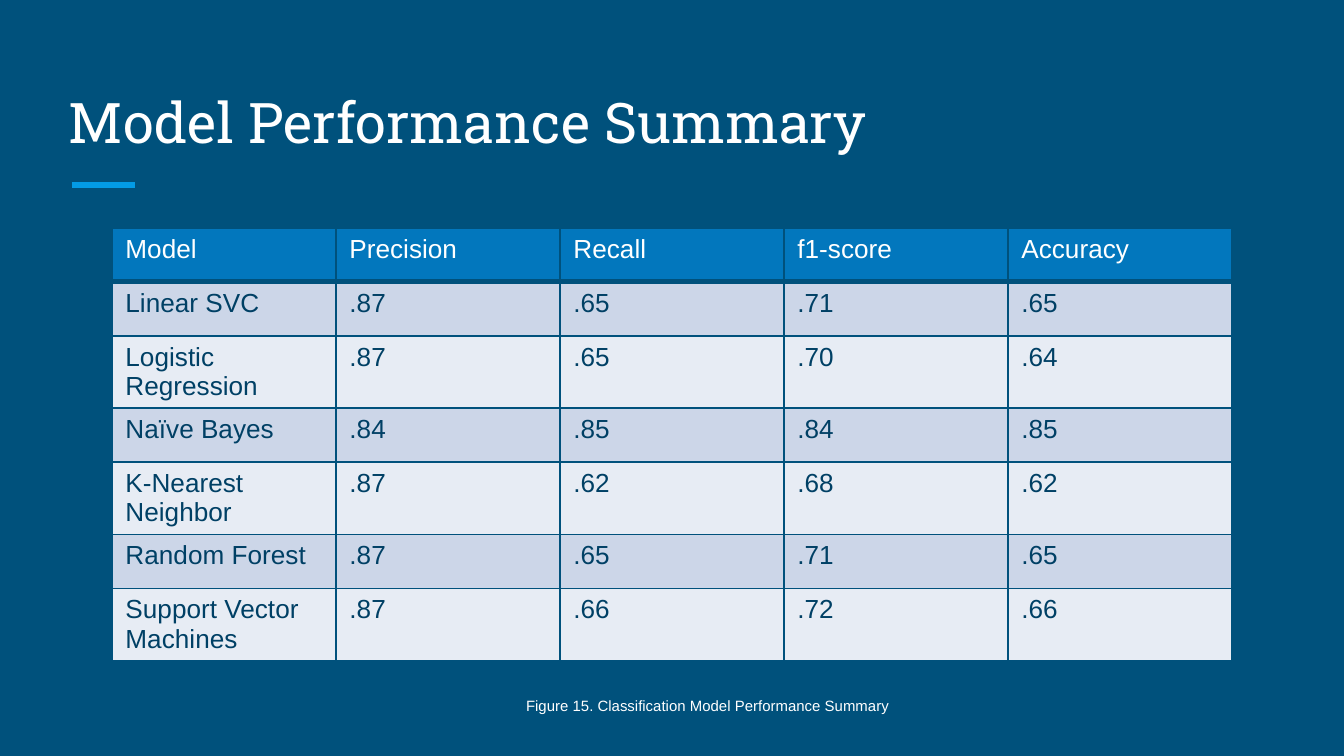
from dataclasses import dataclass

from lxml.etree import SubElement
from pptx import Presentation
from pptx.dml.color import RGBColor as RGB
from pptx.enum.shapes import MSO_CONNECTOR as CONNECTOR
from pptx.enum.text import MSO_ANCHOR as ANCHOR, MSO_AUTO_SIZE as AUTOSIZE, PP_ALIGN as ALIGN
from pptx.oxml.ns import qn
from pptx.util import Emu, Pt


@dataclass(frozen=True)
class Theme:
    background: str = "00517C"
    accent: str = "039BE5"
    header: str = "0277BD"
    bands: tuple = ("CCD6E8", "E7ECF4")
    light: str = "FFFFFF"
    dark: str = "004065"
    heading_font: str = "Roboto Slab"
    body_font: str = "Arial"
    title_size: int = 30
    table_size: int = 14
    caption_size: int = 8


theme = Theme()
EMU_PER_PX = 914400 / 134.4


def px(*values):
    return [Emu(round(v * EMU_PER_PX)) for v in values]


def write(tf, text, *, size, color=theme.light, font=theme.body_font, anchor=ANCHOR.TOP, margin=None):
    tf.word_wrap = True
    tf.vertical_anchor = anchor
    if margin is not None:
        tf.margin_left = tf.margin_right = tf.margin_top = tf.margin_bottom = margin
    p = tf.paragraphs[0]
    p.alignment = ALIGN.LEFT
    r = p.add_run()
    r.text = text
    r.font.size = Pt(size)
    r.font.name = font
    r.font.color.rgb = RGB.from_string(color)


# Slide and background
prs = Presentation()
prs.slide_width, prs.slide_height = px(1344, 756)
s = prs.slides.add_slide(prs.slide_layouts[5])
s.background.fill.solid()
s.background.fill.fore_color.rgb = RGB.from_string(theme.background)
inset, = px(13)

# Accent rule under the title
rule = s.shapes.add_connector(CONNECTOR.STRAIGHT, *px(72, 185, 135, 185))
rule.line.color.rgb = RGB.from_string(theme.accent)
rule.line.width = Pt(3)
SubElement(rule._element.spPr, qn("a:effectLst"))

# Title
title = s.shapes.title
title.left, title.top, title.width, title.height = px(56, 67, 1230, 101)
title.text_frame.auto_size = AUTOSIZE.NONE
write(title.text_frame, "Model Performance Summary", size=theme.title_size,
      font=theme.heading_font, anchor=ANCHOR.BOTTOM, margin=inset)

# Table of scores
rows = [
    ("Model", "Precision", "Recall", "f1-score", "Accuracy"),
    ("Linear SVC", ".87", ".65", ".71", ".65"),
    ("Logistic Regression", ".87", ".65", ".70", ".64"),
    ("Naïve Bayes", ".84", ".85", ".84", ".85"),
    ("K-Nearest Neighbor", ".87", ".62", ".68", ".62"),
    ("Random Forest", ".87", ".65", ".71", ".65"),
    ("Support Vector Machines", ".87", ".66", ".72", ".66"),
]
col_w, row_h = 224, 54
n_rows, n_cols = len(rows), len(rows[0])
table = s.shapes.add_table(n_rows, n_cols, *px(112, 228, n_cols * col_w, n_rows * row_h)).table

for i, row in enumerate(rows):
    is_header = i == 0
    fill = theme.header if is_header else theme.bands[(i - 1) % 2]
    for j, text in enumerate(row):
        cell = table.cell(i, j)
        write(cell.text_frame, text, size=theme.table_size,
              color=theme.light if is_header else theme.dark)
        # Borders come before the fill in the cell's XML
        tc_pr = cell._tc.get_or_add_tcPr()
        for side in ("lnL", "lnR", "lnT", "lnB"):
            width = Pt(3 if is_header and side == "lnB" else 1)
            ln = SubElement(tc_pr, qn(f"a:{side}"), w=str(width))
            SubElement(SubElement(ln, qn("a:solidFill")), qn("a:srgbClr"), val=theme.background)
        cell.fill.solid()
        cell.fill.fore_color.rgb = RGB.from_string(fill)

# Caption
caption = s.shapes.add_textbox(*px(513, 688, 410, 46))
caption.text_frame.auto_size = AUTOSIZE.SHAPE_TO_FIT_TEXT
write(caption.text_frame, "Figure 15. Classification Model Performance Summary",
      size=theme.caption_size, margin=inset)

prs.save("out.pptx")
